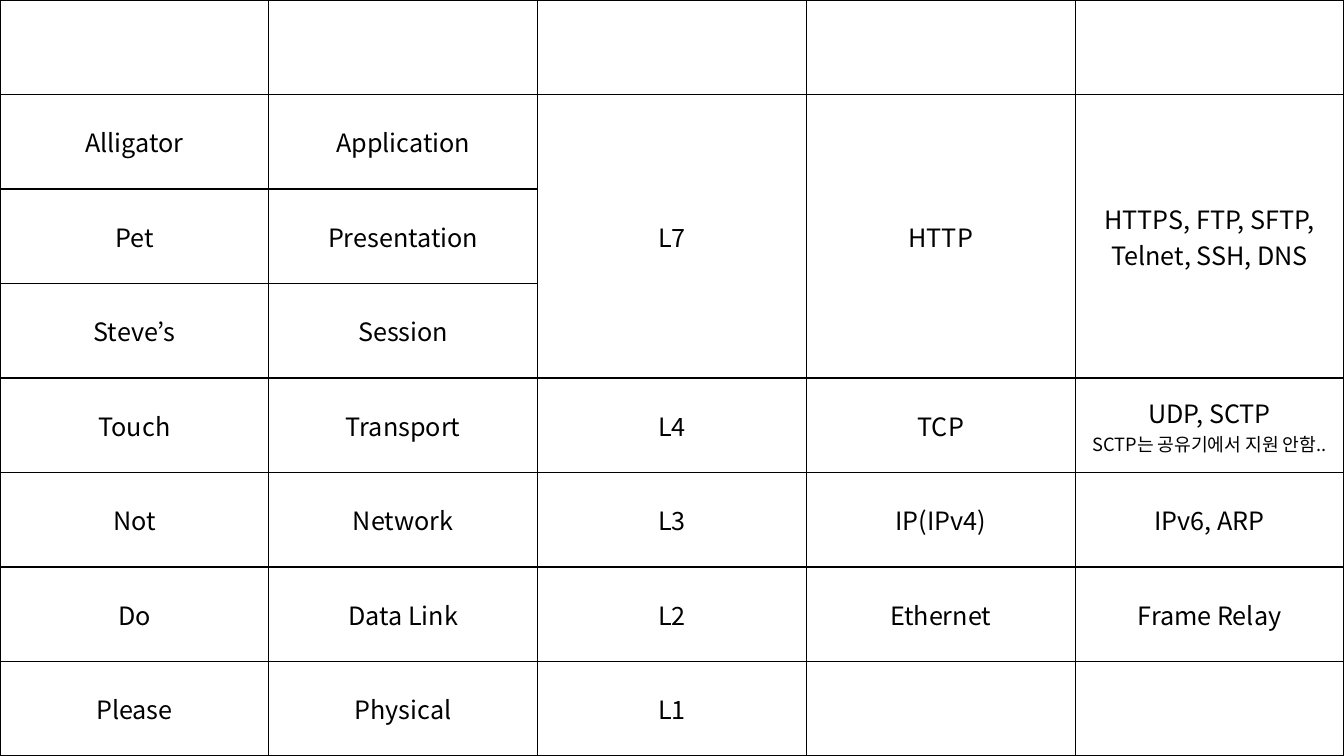
import pptx
import pptx.util
import pptx.dml.color
import pptx.enum.text
import pptx.oxml
import pptx.oxml.ns
import lxml.etree

Pt = pptx.util.Pt
HUES = {"ink": "000000", "page": "FFFFFF"}
FACE = "Noto Sans CJK KR"
SIZE, NOTE = 18, 13
ROWS = [
    ["", "", "", "", ""],
    ["Alligator", "Application", "L7", "HTTP", "HTTPS, FTP, SFTP, Telnet, SSH, DNS"],
    ["Pet", "Presentation", "", "", ""],
    ["Steve’s", "Session", "", "", ""],
    ["Touch", "Transport", "L4", "TCP", "UDP, SCTP\nSCTP는 공유기에서 지원 안함.."],
    ["Not", "Network", "L3", "IP(IPv4)", "IPv6, ARP"],
    ["Do", "Data Link", "L2", "Ethernet", "Frame Relay"],
    ["Please", "Physical", "L1", "", ""],
]


def tint(name):
    """Return the named colour."""
    return pptx.dml.color.RGBColor.from_string(HUES[name])


def write(cell, text):
    """Write centred lines, the second one smaller."""
    cell.vertical_anchor = pptx.enum.text.MSO_ANCHOR.MIDDLE
    cell.text = text
    for para, size in zip(cell.text_frame.paragraphs, (SIZE, NOTE)):
        para.alignment = pptx.enum.text.PP_ALIGN.CENTER
        for run in para.runs:
            for key, value in {"name": FACE, "size": Pt(size)}.items():
                setattr(run.font, key, value)
            run.font.color.rgb = tint("ink")
            east = lxml.etree.SubElement(
                run.font._element, pptx.oxml.ns.qn("a:ea"))
            east.set("typeface", FACE)


def frame(cell):
    """Draw the four borders and the fill of a cell."""
    props = cell._tc.get_or_add_tcPr()
    for side in ("lnL", "lnR", "lnT", "lnB"):
        props.append(pptx.oxml.parse_xml(
            f'<a:{side} {pptx.oxml.ns.nsdecls("a")} w="{Pt(1)}"><a:solidFill>'
            f'<a:srgbClr val="{HUES["ink"]}"/></a:solidFill></a:{side}>'))
    cell.fill.solid()
    cell.fill.fore_color.rgb = tint("page")


def grid(slide, left, top, width, height):
    """Place the layer table in the given box."""
    rows, cols = len(ROWS), len(ROWS[0])
    table = slide.shapes.add_table(
        rows, cols, Pt(left), Pt(top), Pt(width), Pt(height)).table
    for col in table.columns:
        col.width = Pt(width / cols)
    for row, texts in zip(table.rows, ROWS):
        row.height = Pt(height / rows)
        for cell, text in zip(row.cells, texts):
            write(cell, text)
            frame(cell)
    for col in range(2, cols):
        table.cell(1, col).merge(table.cell(3, col))


def main():
    """Build and save the slide."""
    deck = pptx.Presentation()
    wide, high = 960, 540
    deck.slide_width, deck.slide_height = Pt(wide), Pt(high)
    slide = deck.slides.add_slide(deck.slide_layouts[6])
    grid(slide, 0, 0, wide, high)
    deck.save("out.pptx")


if __name__ == "__main__":
    main()
